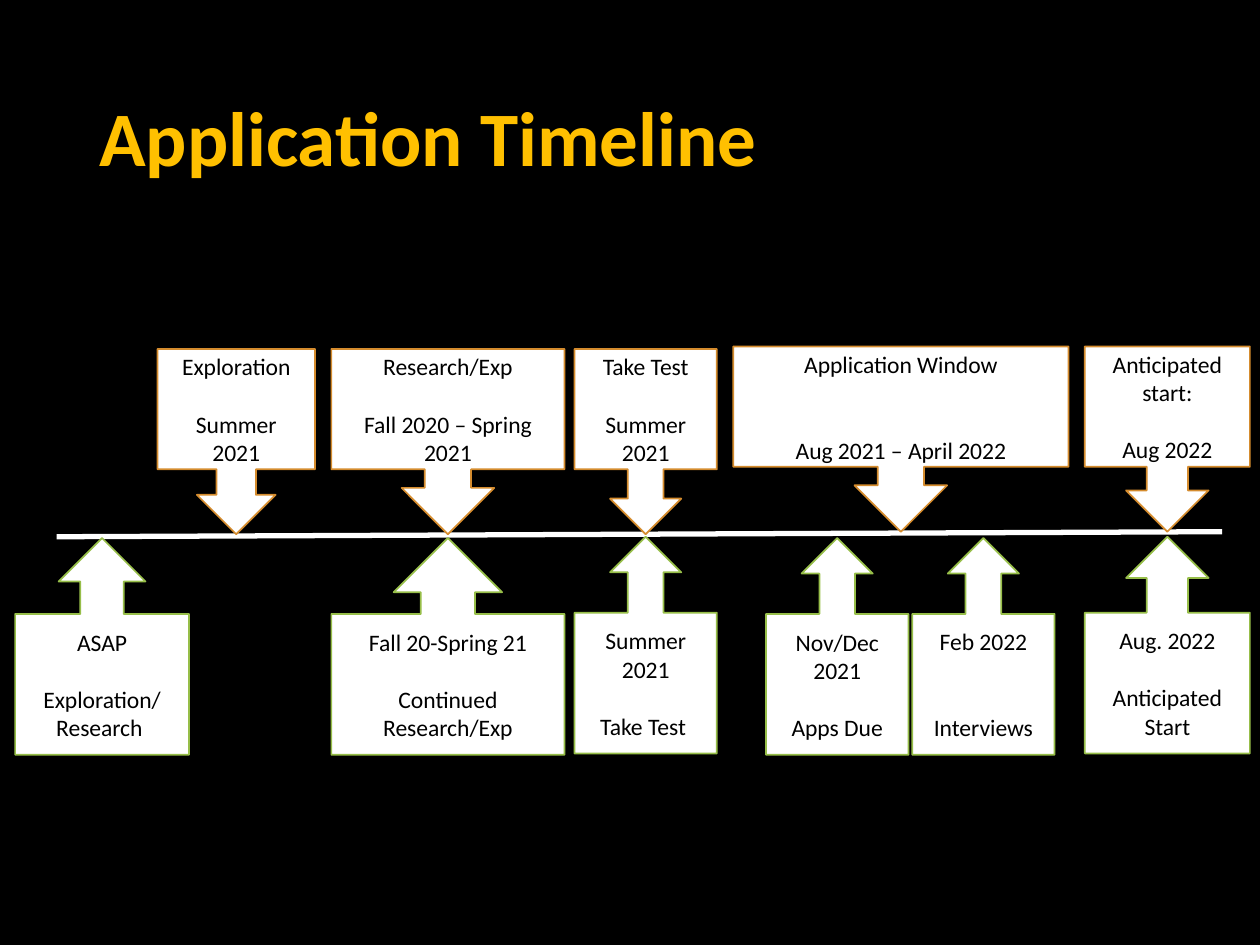
import pptx
import pptx.util
import pptx.dml.color
import pptx.enum.shapes
import pptx.enum.text
import pptx.oxml
import pptx.oxml.ns

Inches, Pt = pptx.util.Inches, pptx.util.Pt
RGBColor = pptx.dml.color.RGBColor
Kind = pptx.enum.shapes.MSO_SHAPE
Align = pptx.enum.text.PP_ALIGN
Anchor = pptx.enum.text.MSO_ANCHOR

BLACK = RGBColor(0x00, 0x00, 0x00)
WHITE = RGBColor(0xFF, 0xFF, 0xFF)
GOLD = RGBColor(0xFF, 0xC0, 0x00)
ORANGE = RGBColor(0xD5, 0x8C, 0x2E)
GREEN = RGBColor(0x97, 0xBE, 0x49)
LINE_GAP = 16.5  # points in one line of callout text


def set_font(para, size, color):
    para.font.name = "Calibri"
    para.font.size = Pt(size)
    para.font.color.rgb = color


deck = pptx.Presentation()
deck.slide_width, deck.slide_height = Inches(10), Inches(7.5)
slide = deck.slides.add_slide(deck.slide_layouts[6])
slide.background.fill.solid()
slide.background.fill.fore_color.rgb = BLACK

title = slide.shapes.add_textbox(Inches(0.69), Inches(0.4), Inches(8.62), Inches(1.45))
title.text_frame.word_wrap = True
title.text_frame.vertical_anchor = Anchor.MIDDLE
para = title.text_frame.paragraphs[0]
para.text = "Application Timeline"
para.line_spacing = 0.9
para.font.bold = True
set_font(para, 44, GOLD)

axis = slide.shapes.add_connector(
    pptx.enum.shapes.MSO_CONNECTOR.STRAIGHT,
    Inches(0.45), Inches(4.26), Inches(9.7), Inches(4.22))
axis.line.color.rgb = WHITE
axis.line.width = Pt(3)
axis._element.spPr.append(
    pptx.oxml.parse_xml(f"<a:effectLst {pptx.oxml.ns.nsdecls('a')}/>"))

# Each callout: left, top, width, first text, second text, lines left free between
above = [
    (1.25, 2.77, 1.25, "Exploration", "Summer 2021", 1),
    (2.63, 2.77, 1.85, "Research/Exp", "Fall 2020 – Spring 2021", 1),
    (4.56, 2.77, 1.13, "Take Test", "Summer 2021", 1),
    (5.82, 2.75, 2.66, "Application Window", "Aug 2021 – April 2022", 2),
    (8.61, 2.75, 1.31, "Anticipated start:", "Aug 2022", 1),
]
below = [
    (0.12, 4.27, 1.38, "ASAP", "Exploration/Research ", 1),
    (2.63, 4.27, 1.85, "Fall 20-Spring 21", "Continued Research/Exp", 1),
    (4.56, 4.26, 1.13, "Summer 2021", "Take Test ", 1),
    (6.08, 4.27, 1.13, "Nov/Dec 2021", "Apps Due", 1),
    (7.24, 4.27, 1.13, "Feb 2022", "Interviews", 2),
    (8.61, 4.26, 1.31, "Aug. 2022", "Anticipated Start", 1),
]
rows = [
    (Kind.DOWN_ARROW_CALLOUT, 1.47, ORANGE, above),
    (Kind.UP_ARROW_CALLOUT, 1.72, GREEN, below),
]
for kind, height, color, steps in rows:
    for left, top, width, first, second, gap in steps:
        box = slide.shapes.add_shape(
            kind, Inches(left), Inches(top), Inches(width), Inches(height))
        box.shadow.inherit = False
        box.fill.solid()
        box.fill.fore_color.rgb = WHITE
        box.line.color.rgb = color
        box.line.width = Pt(1)
        frame = box.text_frame
        frame.word_wrap = True
        frame.vertical_anchor = Anchor.MIDDLE
        frame.text = f"{first}\n{second}"
        for para in frame.paragraphs:
            para.alignment = Align.CENTER
            set_font(para, 13.5, BLACK)
        frame.paragraphs[1].space_before = Pt(gap * LINE_GAP)

deck.save("out.pptx")
